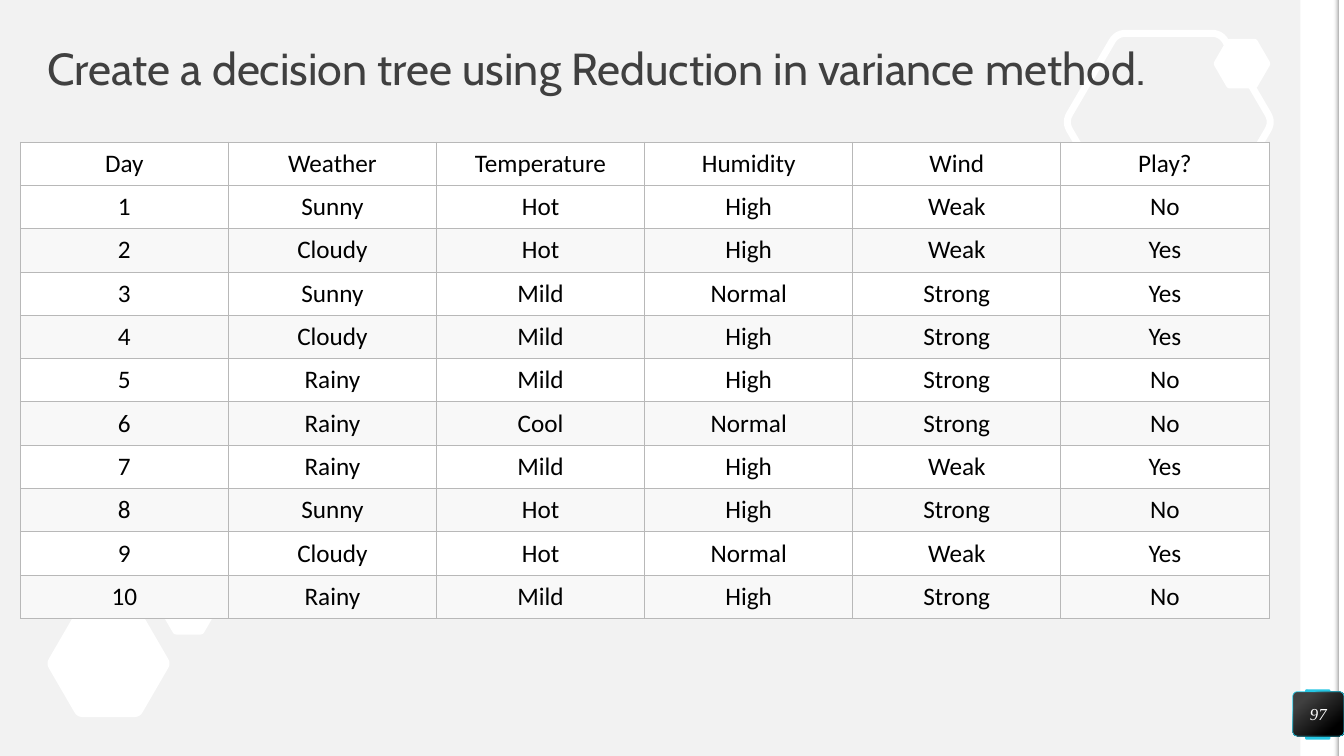
from dataclasses import dataclass

from lxml.etree import SubElement
from pptx import Presentation
from pptx.dml.color import RGBColor
from pptx.enum.shapes import MSO_SHAPE
from pptx.enum.text import MSO_ANCHOR, PP_ALIGN
from pptx.oxml.ns import qn
from pptx.util import Cm, Pt

WHITE = RGBColor(0xFF, 0xFF, 0xFF)
BLACK = RGBColor(0x00, 0x00, 0x00)
PAPER = RGBColor(0xF2, 0xF2, 0xF2)
BAND = RGBColor(0xF8, 0xF8, 0xF8)
BORDER = RGBColor(0xB8, 0xB8, 0xB8)
SHADE = RGBColor(0xA6, 0xA6, 0xA6)
CHARCOAL = RGBColor(0x40, 0x40, 0x40)
TEAL = RGBColor(0x25, 0xC6, 0xE3)

# Hexagon corners as fractions of its box, and the share of each edge rounded off
HEXAGON_CORNERS = [(0.243, 0), (0.757, 0), (1.012, 0.5), (0.757, 1), (0.243, 1), (-0.012, 0.5)]
ROUNDING = 0.09
CURVE_STEPS = 6

HEADINGS = ["Day", "Weather", "Temperature", "Humidity", "Wind", "Play?"]
OBSERVATIONS = [
    ("Sunny", "Hot", "High", "Weak", "No"),
    ("Cloudy", "Hot", "High", "Weak", "Yes"),
    ("Sunny", "Mild", "Normal", "Strong", "Yes"),
    ("Cloudy", "Mild", "High", "Strong", "Yes"),
    ("Rainy", "Mild", "High", "Strong", "No"),
    ("Rainy", "Cool", "Normal", "Strong", "No"),
    ("Rainy", "Mild", "High", "Weak", "Yes"),
    ("Sunny", "Hot", "High", "Strong", "No"),
    ("Cloudy", "Hot", "Normal", "Weak", "Yes"),
    ("Rainy", "Mild", "High", "Strong", "No"),
]


@dataclass
class Box:
    left: float
    top: float
    width: float
    height: float

    def lengths(self) -> tuple:
        return Cm(self.left), Cm(self.top), Cm(self.width), Cm(self.height)


@dataclass
class Hexagon:
    box: Box
    outlined: bool = False


HEXAGONS = [
    Hexagon(Box(1.2, 15.37, 3.07, 2.7)),
    Hexagon(Box(26.9, 0.84, 5.11, 4.47), outlined=True),
    Hexagon(Box(4.04, 14.74, 1.42, 1.25)),
    Hexagon(Box(30.59, 0.98, 1.42, 1.25)),
]


def rounded_points(box: Box) -> list:
    points = []
    for index, (x, y) in enumerate(HEXAGON_CORNERS):
        before_x, before_y = HEXAGON_CORNERS[index - 1]
        after_x, after_y = HEXAGON_CORNERS[(index + 1) % len(HEXAGON_CORNERS)]
        for step in range(CURVE_STEPS + 1):
            t = step / CURVE_STEPS
            back, ahead = ROUNDING * (1 - t) ** 2, ROUNDING * t ** 2
            curve_x = x + back * (before_x - x) + ahead * (after_x - x)
            curve_y = y + back * (before_y - y) + ahead * (after_y - y)
            points.append((Cm(box.left + box.width * curve_x), Cm(box.top + box.height * curve_y)))
    return points


def draw_hexagon(slide, hexagon: Hexagon) -> None:
    first, *others = rounded_points(hexagon.box)
    builder = slide.shapes.build_freeform(*first)
    builder.add_line_segments(others, close=True)
    shape = builder.convert_to_shape()
    shape.shadow.inherit = False
    if hexagon.outlined:
        shape.fill.background()
        shape.line.color.rgb = WHITE
        shape.line.width = Pt(5)
    else:
        shape.fill.solid()
        shape.fill.fore_color.rgb = WHITE
        shape.line.fill.background()


def draw_shape(slide, box: Box, color: RGBColor, kind=MSO_SHAPE.RECTANGLE):
    shape = slide.shapes.add_shape(kind, *box.lengths())
    shape.shadow.inherit = False
    shape.fill.solid()
    shape.fill.fore_color.rgb = color
    shape.line.fill.background()
    return shape


def set_gradient(shape, angle: float, stops: list) -> None:
    shape.fill.gradient()
    shape.fill.gradient_angle = angle
    for stop, (position, color) in zip(shape.fill.gradient_stops, stops):
        stop.position = position
        stop.color.rgb = color


def set_text(text_frame, text: str, font_name: str, size: float, color: RGBColor):
    paragraph = text_frame.paragraphs[0]
    paragraph.text = text
    paragraph.font.name = font_name
    paragraph.font.size = Pt(size)
    paragraph.font.color.rgb = color
    return paragraph


def clear_margins(text_frame) -> None:
    text_frame.margin_left = text_frame.margin_right = 0
    text_frame.margin_top = text_frame.margin_bottom = 0
    text_frame.vertical_anchor = MSO_ANCHOR.MIDDLE


def set_borders(cell) -> None:
    properties = cell._tc.get_or_add_tcPr()
    for index, side in enumerate(("a:lnL", "a:lnR", "a:lnT", "a:lnB")):
        line = SubElement(properties, qn(side), w=str(Pt(0.75)))
        SubElement(SubElement(line, qn("a:solidFill")), qn("a:srgbClr"), val=str(BORDER))
        properties.insert(index, line)


def draw_table(slide, box: Box) -> None:
    rows = [HEADINGS] + [(str(day), *values) for day, values in enumerate(OBSERVATIONS, 1)]
    table = slide.shapes.add_table(len(rows), len(HEADINGS), *box.lengths()).table
    table.first_row = table.horz_banding = False
    for row_index, values in enumerate(rows):
        shaded = row_index > 0 and row_index % 2 == 0
        for column_index, value in enumerate(values):
            cell = table.cell(row_index, column_index)
            cell.fill.solid()
            cell.fill.fore_color.rgb = BAND if shaded else WHITE
            cell.margin_left = cell.margin_right = Cm(0.36)
            cell.margin_top = cell.margin_bottom = Cm(0.15)
            cell.vertical_anchor = MSO_ANCHOR.MIDDLE
            paragraph = set_text(cell.text_frame, value, "Calibri", 18, BLACK)
            paragraph.alignment = PP_ALIGN.CENTER
            set_borders(cell)


def main() -> None:
    presentation = Presentation()
    presentation.slide_width, presentation.slide_height = Cm(33.87), Cm(19.05)
    slide = presentation.slides.add_slide(presentation.slide_layouts[6])
    slide.background.fill.solid()
    slide.background.fill.fore_color.rgb = PAPER

    # Right-hand strip with a shaded edge
    draw_shape(slide, Box(32.77, 0, 0.99, 19.05), WHITE)
    tab = draw_shape(slide, Box(32.89, 17.37, 0.64, 1.27), TEAL, MSO_SHAPE.ROUNDED_RECTANGLE)
    tab.adjustments[0] = 0.07
    draw_shape(slide, Box(33.74, 0, 0.13, 19.05), WHITE)
    edge = draw_shape(slide, Box(33.61, 0, 0.13, 19.05), SHADE)
    set_gradient(edge, 0, [(0, PAPER), (1, SHADE)])
    clear_stop = edge._element.xpath(".//a:gs/a:srgbClr")[0]
    SubElement(clear_stop, qn("a:alpha"), val="0")

    # Decorative hexagons
    for hexagon in HEXAGONS:
        draw_hexagon(slide, hexagon)

    # Title
    title = slide.shapes.add_textbox(*Box(1.2, 1.2, 31.47, 1.2).lengths())
    title.text_frame.word_wrap = True
    clear_margins(title.text_frame)
    heading = set_text(title.text_frame, "Create a decision tree using Reduction in variance method.",
                       "Cabin", 32, CHARCOAL)
    heading.line_spacing = 0.9

    # Weather observations
    draw_table(slide, Box(0.51, 3.58, 31.47, 12.01))

    # Page number badge
    badge = draw_shape(slide, Box(32.58, 17.43, 1.29, 1.12), BLACK, MSO_SHAPE.ROUNDED_RECTANGLE)
    badge.adjustments[0] = 0.1
    set_gradient(badge, 310, [(0.2, CHARCOAL), (0.82, BLACK)])
    badge.line.color.rgb = TEAL
    badge.line.width = Pt(0.5)
    clear_margins(badge.text_frame)
    number = set_text(badge.text_frame, "97", "Times New Roman", 12, WHITE)
    number.font.italic = True
    number.alignment = PP_ALIGN.CENTER

    presentation.save("out.pptx")


if __name__ == "__main__":
    main()
